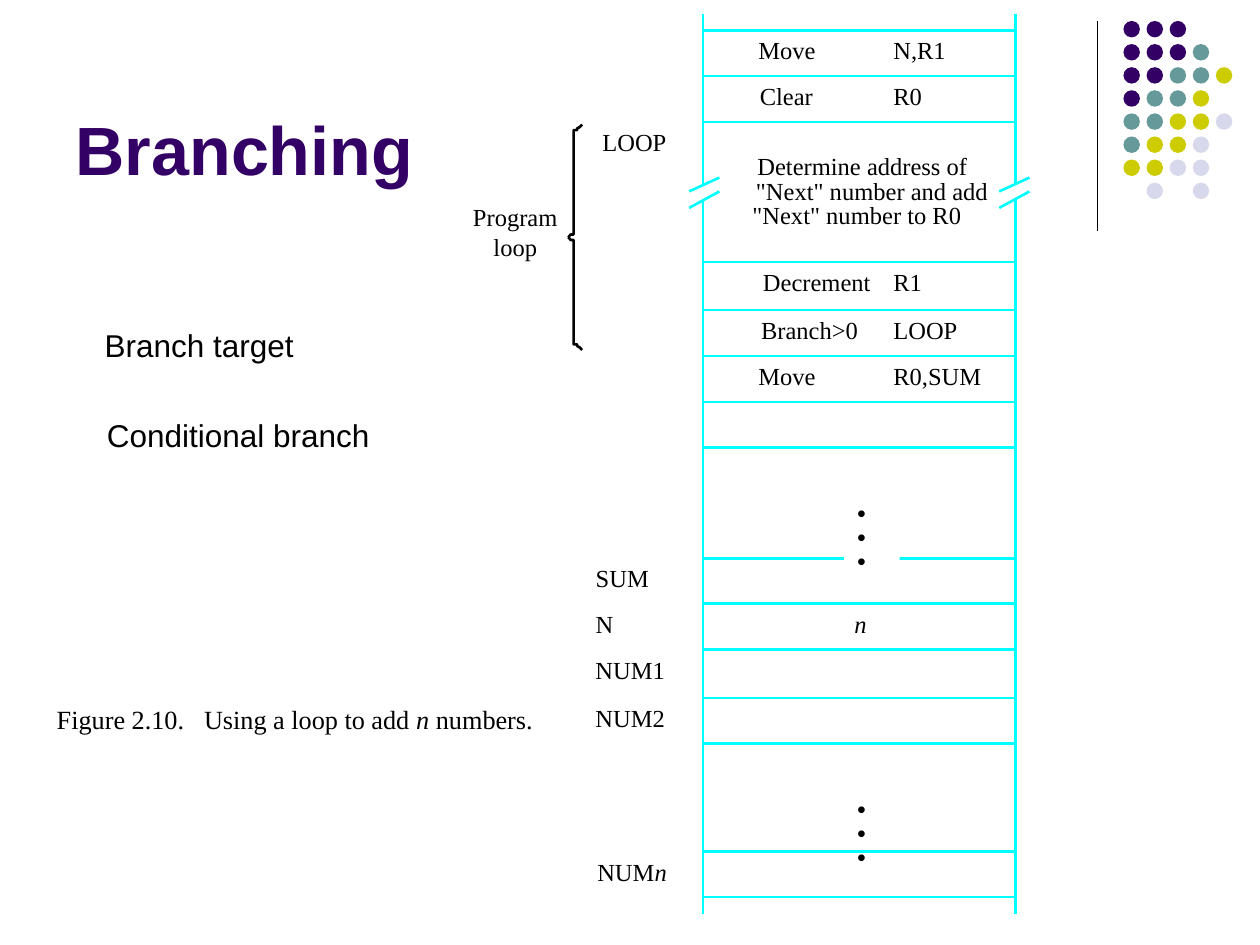
import pptx
import pptx.util
import pptx.dml.color
import pptx.enum.shapes
import pptx.enum.text
import pptx.oxml.ns
from lxml import etree

Pt = pptx.util.Pt
RGBColor = pptx.dml.color.RGBColor
Shapes = pptx.enum.shapes.MSO_SHAPE
Align = pptx.enum.text.PP_ALIGN
Anchor = pptx.enum.text.MSO_ANCHOR
qn = pptx.oxml.ns.qn

BLACK = RGBColor(0x00, 0x00, 0x00)
WHITE = RGBColor(0xFF, 0xFF, 0xFF)
CYAN = RGBColor(0x00, 0xFF, 0xFF)
PURPLE = RGBColor(0x33, 0x00, 0x66)
TEAL = RGBColor(0x66, 0x99, 0x99)
OLIVE = RGBColor(0xCC, 0xCC, 0x00)
LAVENDER = RGBColor(0xD8, 0xD8, 0xEC)

SERIF = "Times New Roman"
SANS = "Arial"


def write(paragraph, text, size=14, font=SERIF, color=BLACK, bold=False, italic=False):
    run = paragraph.add_run()
    run.text = text
    run.font.size = Pt(size)
    run.font.name = font
    run.font.color.rgb = color
    run.font.bold = bold
    run.font.italic = italic


class Canvas:
    rule_width = 1.5

    def __init__(self, slide):
        self.slide = slide

    def title(self, text, x, y, w, h):
        heading = self.slide.shapes.title
        heading.left, heading.top, heading.width, heading.height = Pt(x), Pt(y), Pt(w), Pt(h)
        heading.text_frame.vertical_anchor = Anchor.BOTTOM
        paragraph = heading.text_frame.paragraphs[0]
        paragraph.alignment = Align.LEFT
        write(paragraph, text, size=39, font=SANS, color=PURPLE, bold=True)

    def fill_lines(self, frame, lines, align=Align.LEFT, spacing=None, **style):
        for index, line in enumerate(lines):
            paragraph = frame.add_paragraph() if index else frame.paragraphs[0]
            paragraph.alignment = align
            if spacing:
                paragraph.line_spacing = Pt(spacing)
            write(paragraph, line, **style)

    def label(self, lines, x, y, w, h=16.6, inset=(0, 0), align=Align.LEFT, spacing=None, **style):
        frame = self.slide.shapes.add_textbox(Pt(x), Pt(y), Pt(w), Pt(h)).text_frame
        frame.word_wrap = False
        frame.margin_left = frame.margin_right = Pt(inset[0])
        frame.margin_top = frame.margin_bottom = Pt(inset[1])
        self.fill_lines(frame, lines, align, spacing, **style)
        return frame.paragraphs[0]

    def line(self, x1, y1, x2, y2, color=CYAN, width=rule_width):
        connector = self.slide.shapes.add_connector(
            pptx.enum.shapes.MSO_CONNECTOR.STRAIGHT, Pt(x1), Pt(y1), Pt(x2), Pt(y2))
        connector.line.color.rgb = color
        connector.line.width = Pt(width)
        etree.SubElement(connector._element.spPr, qn("a:effectLst"))

    def shape(self, kind, x, y, w, h, color):
        shape = self.slide.shapes.add_shape(kind, Pt(x), Pt(y), Pt(w), Pt(h))
        shape.shadow.inherit = False
        shape.fill.solid()
        shape.fill.fore_color.rgb = color
        shape.line.fill.background()
        return shape

    def ellipsis(self, x, y):
        frame = self.shape(Shapes.RECTANGLE, x, y, 31.7, 72.7, WHITE).text_frame
        frame.vertical_anchor = Anchor.TOP
        frame.margin_top, frame.margin_bottom = Pt(30.2), Pt(0)
        self.fill_lines(frame, ["•"] * 3, spacing=13.7, size=16)

    def curve(self, points):
        (start_x, start_y), *rest = [(Pt(x), Pt(y)) for x, y in points]
        builder = self.slide.shapes.build_freeform(start_x, start_y)
        builder.add_line_segments(rest, close=False)
        outline = builder.convert_to_shape()
        outline.shadow.inherit = False
        outline.fill.background()
        outline.line.color.rgb = BLACK
        outline.line.width = Pt(self.rule_width)


def draw_ornament(canvas):
    canvas.line(627.1, 12.2, 627.1, 131.8, BLACK, 0.75)
    palette = {"P": PURPLE, "T": TEAL, "O": OLIVE, "L": LAVENDER}
    pattern = ["PPP", "PPPT", "PPTTO", "PTTO", "TTOOL", "TOOL", "OOLL", ".L.L"]
    for row, codes in enumerate(pattern):
        for column, code in enumerate(codes):
            if code in palette:
                canvas.shape(Shapes.OVAL, 642 + 13.2 * column, 12 + 13.2 * row,
                             9.4, 9.4, palette[code])


def draw_memory(canvas):
    left, right = 401.8, 580.3
    rules = [17.3, 43.4, 69.8, 149.8, 177.1, 203.4, 229.7, 255.8,
             319, 345, 371.2, 398.9, 425, 512.6]
    last_cell = 486.7
    text_drop = 3

    for y in rules:
        canvas.line(left, y, right, y)
    for rail, break_x in ((left, 393.8), (right, 571)):
        canvas.line(rail, 7.9, rail, 105.1)
        canvas.line(rail, 113.8, rail, 522)
        for upper, lower in ((101.5, 109.4), (109.4, 118.8)):
            canvas.line(break_x + 17.3, upper, break_x, lower)

    instructions = [
        (0, "Move", 433.4, 36, "N,R1", 33),
        (1, "Clear", 434.2, 33, "R0", 19),
        (3, "Decrement", 436, 64, "R1", 19),
        (4, "Branch>0", 434.9, 58, "LOOP", 39),
        (5, "Move", 433.4, 36, "R0,SUM", 53),
    ]
    for rule, operation, x, width, operand, operand_width in instructions:
        y = rules[rule] + text_drop
        canvas.label([operation], x, y, width)
        canvas.label([operand], 510.5, y, operand_width)

    loop_body = [("Determine address of", 432.8, 123), ('"Next" number and add', 432, 136),
                 ('"Next" number to R0', 430, 122)]
    for index, (step, x, width) in enumerate(loop_body):
        canvas.label([step], x, 86.4 + 14 * index, width)

    addresses = [(2, "LOOP", 344.2, 39), (8, "SUM", 340.4, 33), (9, "N", 340.4, 12),
                 (10, "NUM1", 340.2, 42), (11, "NUM2", 340.2, 42)]
    for rule, name, x, width in addresses:
        canvas.label([name], x, rules[rule] + text_drop, width)
    last_address = canvas.label(["NUM"], 341.3, last_cell + text_drop, 43)
    write(last_address, "n", italic=True)
    canvas.label(["n"], 488.2, rules[9] + text_drop, 9, italic=True)

    for y in (258.5, 427.7):
        canvas.ellipsis(482.4, y)
    canvas.line(left, last_cell, right, last_cell)


def draw_loop_brace(canvas):
    middle = 135.6
    half = [(332.6, 64.4), (331.2, 62.9), (329.8, 62.2), (329.8, 61.2), (327.8, 61.2),
            (327.8, 1.6), (326.2, 1.6), (324.7, 0)]
    for side in (-1, 1):
        canvas.curve([(x, middle + side * reach) for x, reach in half])
    canvas.label(["Program", "loop"], 268, 115.9, 53, 33.2,
                 align=Align.CENTER, spacing=16.6)


def draw_caption(canvas):
    caption = canvas.label([], 32.4, 401.8, 275, 18)
    stops = etree.SubElement(caption._p.get_or_add_pPr(), qn("a:tabLst"))
    etree.SubElement(stops, qn("a:tab"), pos=str(int(Pt(84.2))), algn="l")
    write(caption, "Figure 2.10.\tUsing a loop to add ", size=15)
    write(caption, "n", size=15, italic=True)
    write(caption, " numbers.", size=15)


def main():
    deck = pptx.Presentation()
    deck.slide_width, deck.slide_height = Pt(720), Pt(540)
    canvas = Canvas(deck.slides.add_slide(deck.slide_layouts[5]))
    draw_ornament(canvas)
    canvas.title("Branching", 36, 9.4, 594, 102.2)
    draw_memory(canvas)
    draw_loop_brace(canvas)
    draw_caption(canvas)
    for term, x, y, width in (("Branch target", 52.7, 182.9, 126),
                              ("Conditional branch", 54, 234, 168)):
        canvas.label([term], x, y, width, 28.8, inset=(7.2, 3.6), size=18, font=SANS)
    deck.save("out.pptx")


if __name__ == "__main__":
    main()
